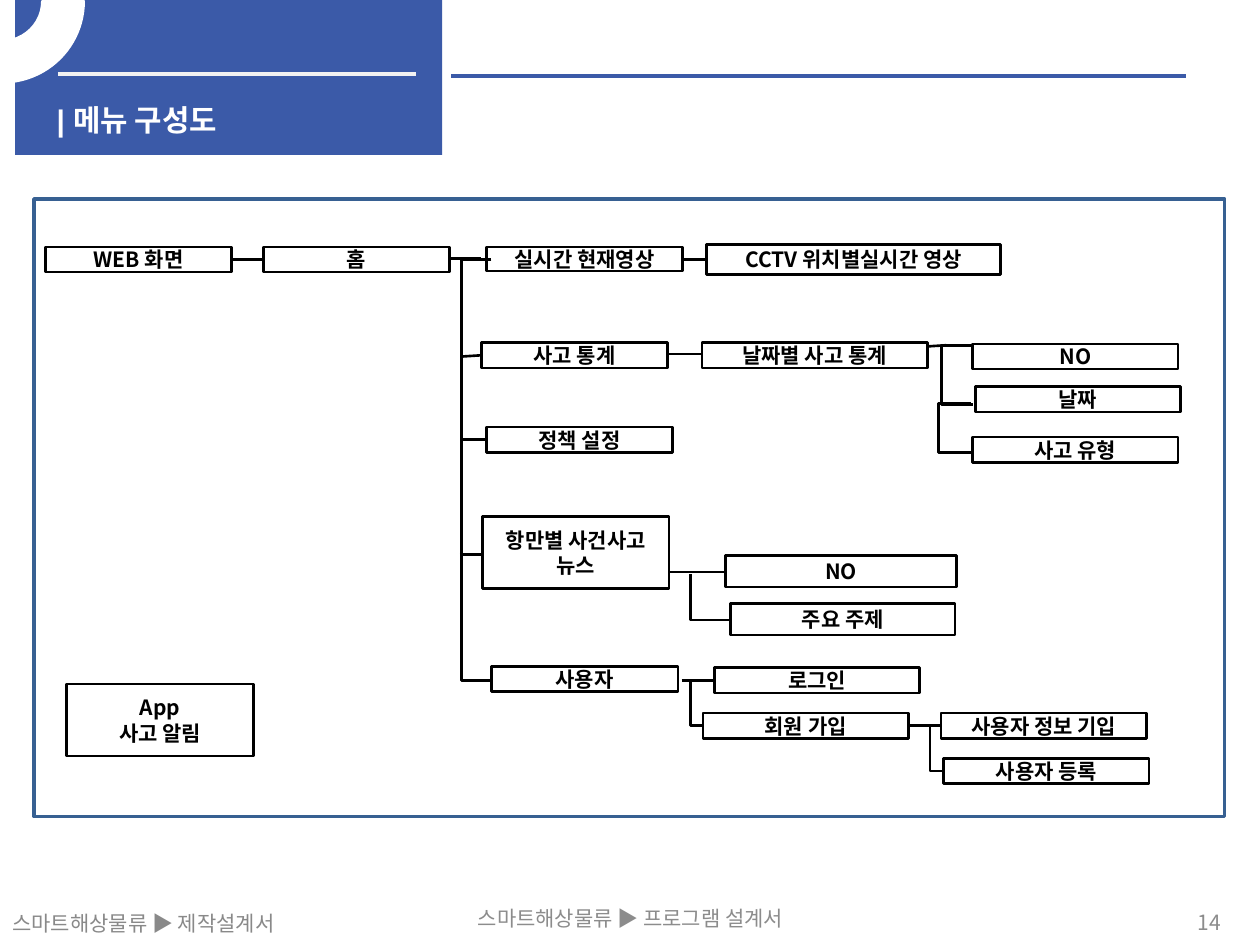
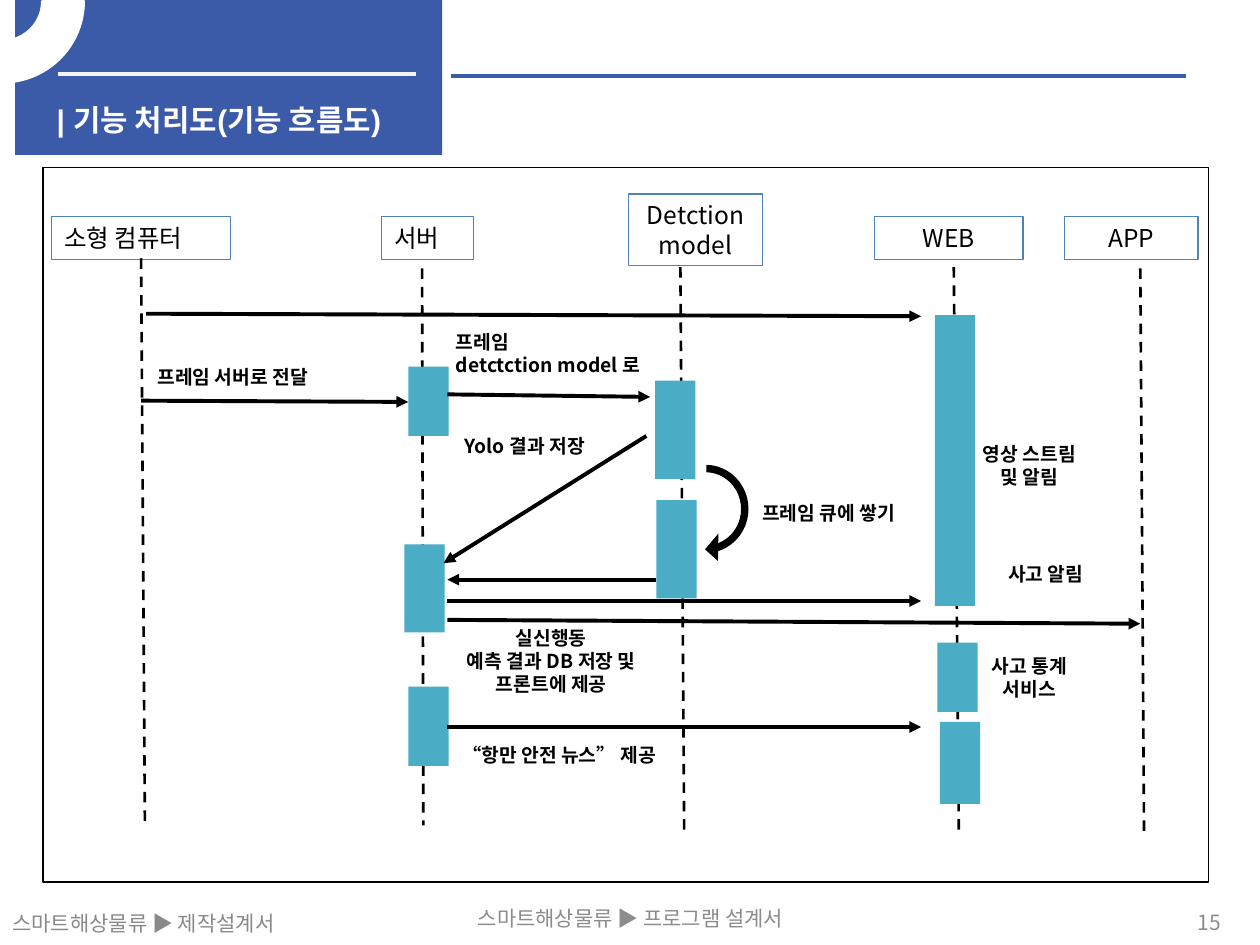
from lxml import etree
from pptx import Presentation
from pptx.dml.color import RGBColor
from pptx.enum.dml import MSO_LINE
from pptx.enum.shapes import MSO_CONNECTOR, MSO_SHAPE
from pptx.enum.text import MSO_ANCHOR, MSO_AUTO_SIZE, PP_ALIGN
from pptx.oxml.ns import qn
from pptx.util import Inches, Pt

RECT, ARC, LOOP = MSO_SHAPE.RECTANGLE, MSO_SHAPE.BLOCK_ARC, MSO_SHAPE.CIRCULAR_ARROW
LINE, ELBOW = MSO_CONNECTOR.STRAIGHT, MSO_CONNECTOR.ELBOW
DASH, FIXED = MSO_LINE.DASH, MSO_AUTO_SIZE.NONE
TOP, MID = MSO_ANCHOR.TOP, MSO_ANCHOR.MIDDLE
LEFT, MIDDLE, RIGHT = PP_ALIGN.LEFT, PP_ALIGN.CENTER, PP_ALIGN.RIGHT

SANS, HEAD = "Noto Sans CJK KR", "Arial"
BLACK, WHITE, BLUE, TEAL = "000000", "FFFFFF", "3B5AA8", "4BACC6"
EDGE, FRAME, PALE, GREY, DIM = "4F81BD", "376092", "F2F2F2", "8C8C8C", "898989"


def box(slide, kind, at, text="", fill=None, line=None, width=1, size=12, bold=False,
        color=BLACK, align=MIDDLE, anchor=MID, font=SANS, wrap=True):
    spot = [Inches(v) for v in at]
    if kind == "title":
        item = slide.shapes.title
        item.left, item.top, item.width, item.height = spot
        item.element.getparent().append(item.element)
    elif kind == "text":
        item = slide.shapes.add_textbox(*spot)
    else:
        item = slide.shapes.add_shape(kind, *spot)
        item.shadow.inherit = False
    if fill:
        item.fill.solid()
        item.fill.fore_color.rgb = RGBColor.from_string(fill)
    else:
        item.fill.background()
    if line:
        item.line.color.rgb = RGBColor.from_string(line)
        item.line.width = Pt(width)
    else:
        item.line.fill.background()
    if text:
        frame = item.text_frame
        frame.text = text
        frame.word_wrap = wrap
        frame.auto_size = FIXED
        frame.vertical_anchor = anchor
        for para in frame.paragraphs:
            para.alignment = align
            for run in para.runs:
                run.font.size = Pt(size)
                run.font.bold = bold
                run.font.color.rgb = RGBColor.from_string(color)
                run.font.name = font
                etree.SubElement(run.font._element, qn("a:ea"), typeface=SANS)
    return item


def wire(slide, ends, width=1.5, color=BLACK, dash=False, arrow=False, bend=None):
    kind = LINE if bend is None else ELBOW
    item = slide.shapes.add_connector(kind, *[Inches(v) for v in ends])
    item.line.color.rgb = RGBColor.from_string(color)
    item.line.width = Pt(width)
    if dash:
        item.line.dash_style = DASH
    props = item.element.spPr
    if arrow:
        etree.SubElement(props.find(qn("a:ln")), qn("a:tailEnd"), type="triangle")
    if bend is not None:
        ratio = round((bend - ends[0]) / (ends[2] - ends[0]) * 100000)
        guides = props.find(qn("a:prstGeom")).find(qn("a:avLst"))
        etree.SubElement(guides, qn("a:gd"), name="adj1", fmla=f"val {ratio}")
    etree.SubElement(props, qn("a:effectLst"))


deck = Presentation()
deck.slide_width, deck.slide_height = Inches(10), Inches(7.5)

pages = []
for number, title in ((14, "| 메뉴 구성도"), (15, "| 기능 처리도(기능 흐름도)")):
    page = deck.slides.add_slide(deck.slide_layouts[5])
    box(page, RECT, (0.12, 0, 3.39, 1.23), fill=BLUE)
    wire(page, (0.46, 0.59, 3.3, 0.59), 2.25, PALE)
    wire(page, (3.58, 0.6, 9.41, 0.6), 2.25, BLUE)
    ring = box(page, ARC, (-0.63, -0.63, 1.29, 1.28), fill=WHITE, line=WHITE, width=2)
    for i, value in enumerate((0, 54.41, 0.25)):
        ring.adjustments[i] = value
    box(page, "title", (0.35, 0.76, 3.23, 0.3), title, size=17, bold=True,
        color=WHITE, align=LEFT, anchor=TOP, font=HEAD)
    box(page, "text", (0, 7.18, 2.51, 0.3), "스마트해상물류 ▶ 제작설계서",
        color=DIM, align=LEFT, anchor=TOP, wrap=False)
    box(page, "text", (3.42, 7.09, 3.17, 0.4), "스마트해상물류 ▶ 프로그램 설계서", color=GREY)
    box(page, "text", (7.46, 7.21, 2.33, 0.21), str(number), color=GREY, align=RIGHT)
    pages.append(page)
menu, flow = pages

box(menu, RECT, (0.27, 1.58, 9.45, 4.9), fill=WHITE, line=FRAME, width=2)

nodes = (
    ("WEB 화면", 0.36, 1.96, 1.48, 0.2),
    ("홈", 2.09, 1.96, 1.48, 0.2),
    ("실시간 현재영상", 3.86, 1.96, 1.56, 0.19),
    ("CCTV 위치별실시간 영상", 5.61, 1.94, 2.33, 0.24),
    ("사고 통계", 3.82, 2.72, 1.48, 0.2),
    ("날짜별 사고 통계", 5.57, 2.72, 1.79, 0.2),
    ("NO", 7.72, 2.73, 1.63, 0.2),
    ("날짜", 7.74, 3.07, 1.63, 0.2),
    ("사고 유형", 7.72, 3.47, 1.63, 0.2),
    ("정책 설정", 3.86, 3.39, 1.48, 0.2),
    ("항만별 사건사고 뉴스", 3.83, 4.1, 1.48, 0.57),
    ("NO", 5.76, 4.41, 1.83, 0.25),
    ("주요 주제", 5.8, 4.79, 1.78, 0.25),
    ("사용자", 3.9, 5.29, 1.48, 0.2),
    ("로그인", 5.67, 5.3, 1.63, 0.2),
    ("회원 가입", 5.58, 5.66, 1.63, 0.2),
    ("사용자 정보 기입", 7.47, 5.66, 1.63, 0.2),
    ("사용자 등록", 7.49, 6.02, 1.63, 0.2),
    ("App\n사고 알림", 0.53, 5.43, 1.48, 0.57),
)
for text, *at in nodes:
    box(menu, RECT, at, text, line=BLACK, width=1.5, bold=True)

links = (
    (1.84, 2.06, 2.09, 2.06),
    (3.58, 2.05, 3.82, 2.05),
    (5.41, 2.06, 5.61, 2.06),
    (3.66, 2.83, 3.82, 2.82),
    (5.31, 2.81, 5.56, 2.81),
    (7.35, 2.75, 7.51, 2.74),
    (3.66, 3.49, 3.86, 3.49),
    (3.65, 4.4, 3.83, 4.4),
    (5.32, 4.54, 5.76, 4.54),
    (5.41, 5.4, 5.67, 5.4),
    (7.21, 5.76, 7.47, 5.76),
)
for ends in links:
    wire(menu, ends)

bends = (
    (3.66, 3.9, 2.06, 3.91, 5.4),
    (7.47, 7.71, 2.74, 7.72, 3.21),
    (7.45, 7.71, 3.2, 7.73, 3.59),
    (5.48, 5.48, 4.56, 5.8, 4.92),
    (5.48, 5.48, 5.4, 5.58, 5.76),
    (7.38, 7.38, 5.76, 7.49, 6.12),
)
for bend, *ends in bends:
    wire(menu, ends, bend=bend)

box(flow, RECT, (0.34, 1.33, 9.25, 5.67), fill=WHITE, line=BLACK, width=0.75)

actors = (
    ("소형 컴퓨터", LEFT, (0.41, 1.72, 1.42, 0.34), (1.12, 2.05, 1.15, 6.55)),
    ("서버", LEFT, (3.03, 1.72, 0.73, 0.34), (3.35, 2.13, 3.36, 6.55)),
    ("Detction model", MIDDLE, (4.99, 1.54, 1.06, 0.57), (5.4, 2.12, 5.43, 6.62)),
    ("WEB", MIDDLE, (6.94, 1.72, 1.18, 0.34), (7.57, 2.12, 7.61, 6.62)),
    ("APP", MIDDLE, (8.45, 1.72, 1.06, 0.34), (9.05, 2.13, 9.08, 6.62)),
)
for text, align, at, ends in actors:
    box(flow, RECT, at, text, line=EDGE, width=0.75, size=14, align=align, anchor=TOP)
    wire(flow, ends, dash=True)

bars = (
    (3.24, 2.91, 0.55), (3.21, 4.32, 0.7), (3.24, 5.45, 0.63),
    (5.2, 3.02, 0.78), (5.21, 3.97, 0.78),
    (7.42, 2.5, 2.31), (7.44, 5.1, 0.55), (7.46, 5.73, 0.65),
)
for x, y, tall in bars:
    box(flow, RECT, (x, y, 0.32, tall), fill=TEAL)

calls = (
    (1.16, 2.49, 7.31, 2.51),
    (1.12, 3.18, 3.24, 3.19),
    (3.55, 3.13, 5.16, 3.15),
    (5.13, 3.46, 3.52, 4.47),
    (5.21, 4.6, 3.55, 4.6),
    (3.55, 4.77, 7.31, 4.77),
    (3.55, 4.92, 9.05, 4.95),
    (3.55, 5.77, 7.31, 5.77),
)
for ends in calls:
    wire(flow, ends, 2.25, arrow=True)

turn = box(flow, LOOP, (5.17, 3.62, 0.86, 0.84), fill=BLACK)
turn.rotation = 90
for i, value in enumerate((0.07, 11.42, 205.12, 108.68, 0.13)):
    turn.adjustments[i] = value

notes = (
    ("프레임\ndetctction model 로", LEFT, 3.52, 2.57, 1.84, 0.47),
    ("프레임 서버로 전달", LEFT, 1.15, 2.85, 1.99, 0.29),
    ("Yolo 결과 저장", LEFT, 3.59, 3.4, 1.38, 0.28),
    ("프레임 큐에 쌓기", LEFT, 5.95, 3.93, 1.49, 0.29),
    ("실신행동\n예측 결과 DB 저장 및 프론트에 제공", MIDDLE, 3.57, 4.92, 1.61, 0.66),
    ("“항만 안전 뉴스” 제공", LEFT, 3.57, 5.85, 1.77, 0.29),
    ("영상 스트림 및 알림", MIDDLE, 7.66, 3.46, 1.02, 0.47),
    ("사고 알림", MIDDLE, 7.79, 4.41, 1.02, 0.29),
    ("사고 통계 서비스", MIDDLE, 7.7, 5.14, 0.94, 0.47),
)
for text, align, *at in notes:
    box(flow, "text", at, text, size=11, bold=True, align=align, anchor=TOP)

deck.save("out.pptx")
